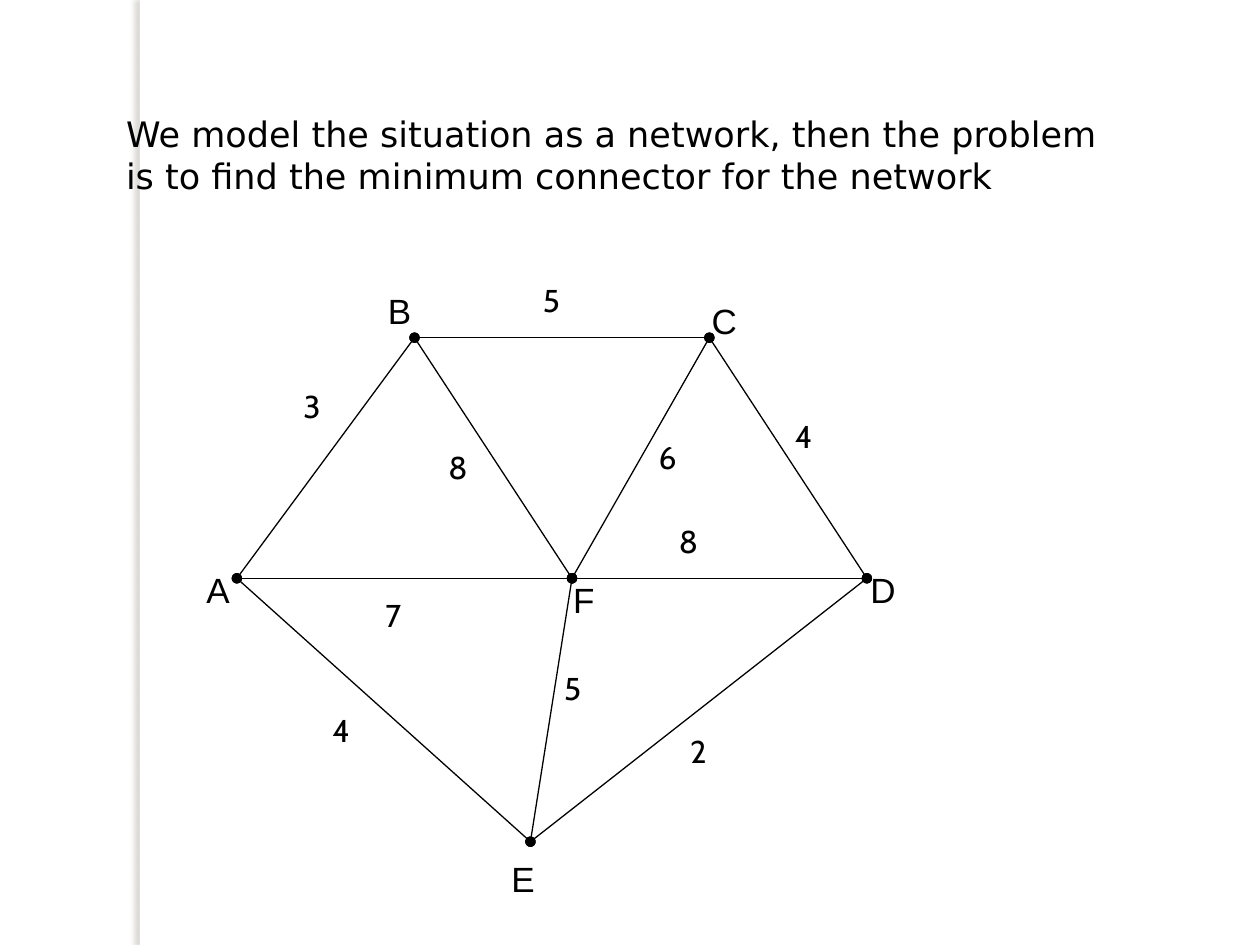
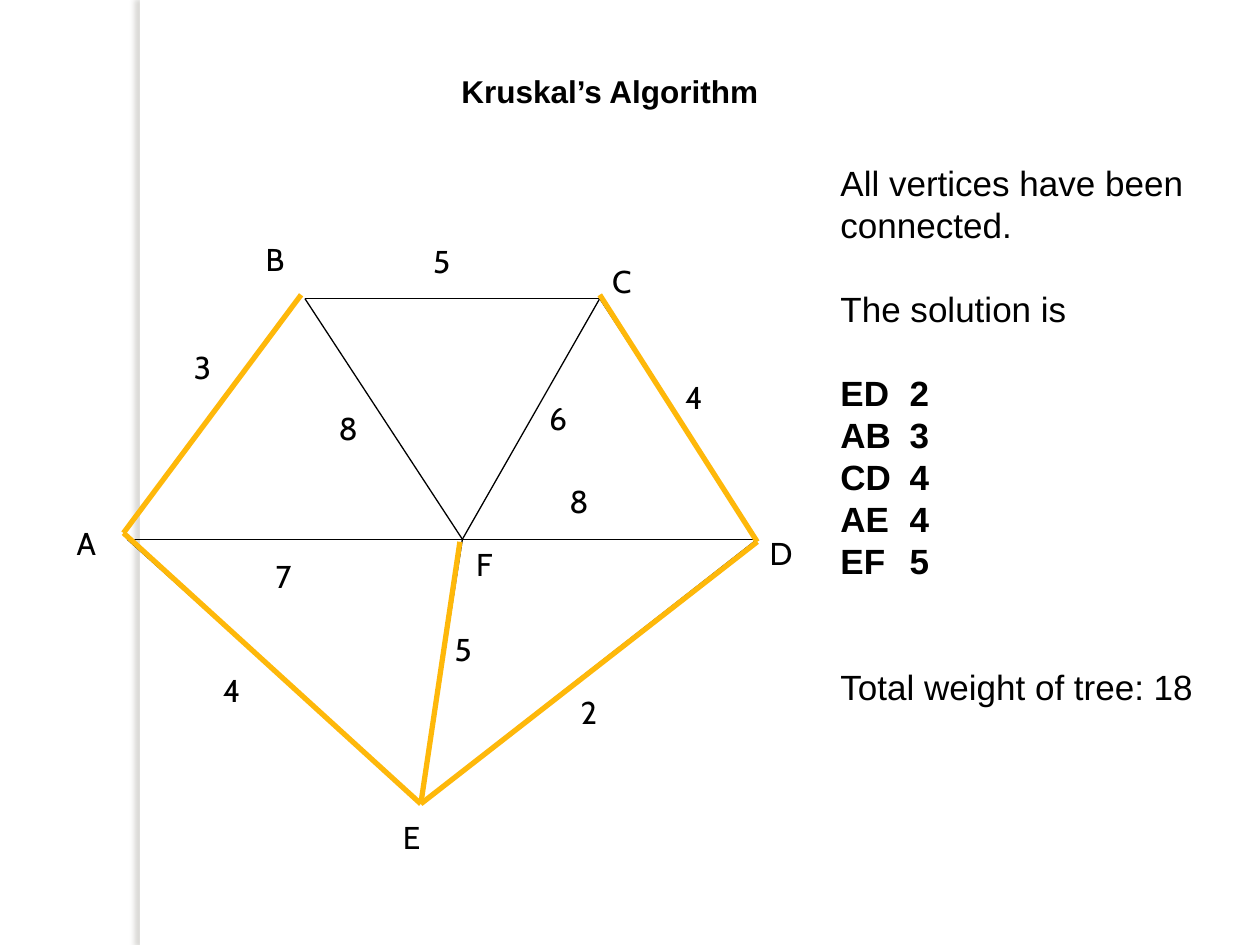
import dataclasses

import pptx
import pptx.dml.color
import pptx.enum.shapes
import pptx.enum.text
import pptx.oxml
import pptx.oxml.ns
import pptx.util

Pt = pptx.util.Pt
RGB = pptx.dml.color.RGBColor.from_string
ALIGN = pptx.enum.text.PP_ALIGN
qn = pptx.oxml.ns.qn


@dataclasses.dataclass(frozen=True)
class Theme:
    ink: str = "000000"
    paper: str = "FFFFFF"
    shade: str = "736F63"
    tree: str = "FEB80A"
    plain: str = "Arial"
    wide: str = "DejaVu Sans"
    round: str = "Cabin"
    large: int = 20
    small: int = 18
    thin: float = 0.75
    thick: float = 3


THEME = Theme()
COLS, ROWS = 10, 7.5
CELL = pptx.util.Inches(1)

# Vertices, and each edge's weight with the place of its label, in cells from A
NODES = {"A": (0, 0), "B": (1.41, -1.91), "C": (3.75, -1.91),
         "D": (5, 0), "E": (2.33, 2.09), "F": (2.66, 0)}
EDGES = {"AB": (3, 0.43, -1.57), "BC": (5, 2.33, -2.41),
         "CD": (4, 4.33, -1.33), "AF": (7, 1.08, 0.09),
         "FD": (8, 3.41, -0.5), "BF": (8, 1.58, -1.08),
         "FC": (6, 3.25, -1.16), "AE": (4, 0.66, 1),
         "EF": (5, 2.5, 0.67), "ED": (2, 3.5, 1.17)}
TREE = ["ED", "AB", "CD", "AE", "EF"]
# Small shift of the tree's line ends from the vertices
SHIFT = {"A": (-0.03, -0.05), "B": (-0.03, -0.03), "C": (0, -0.03),
         "D": (0, 0.02), "E": (0, 0.01), "F": (-0.02, 0.02)}


def grid(*cells):
    return [round(n * CELL) for n in cells]


def place(shape, left, top, width, height):
    shape.left, shape.top, shape.width, shape.height = grid(
        left, top, width, height)


def write(frame, text, font=THEME.plain, size=THEME.large, bold=False,
          align=ALIGN.LEFT, before=0, more=False):
    """Write one paragraph: the first one, or a further one if more is set."""
    frame.word_wrap = True
    frame.auto_size = pptx.enum.text.MSO_AUTO_SIZE.NONE
    frame.vertical_anchor = pptx.enum.text.MSO_ANCHOR.TOP
    para = frame.add_paragraph() if more else frame.paragraphs[0]
    para.alignment = align
    para.space_before = Pt(before)
    run = para.add_run()
    run.text = text
    run.font.name, run.font.size, run.font.bold = font, Pt(size), bold
    run.font.color.rgb = RGB(THEME.ink)
    return para


def head(slide, text, area, **form):
    place(slide.shapes.title, *area)
    write(slide.shapes.title.text_frame, text, **form)


def label(slide, text, left, top, **form):
    box = slide.shapes.add_textbox(*grid(left, top, 0.5, 0.5))
    write(box.text_frame, text, **form)


def line(slide, start, end, color=THEME.ink, width=THEME.thin, dots=False):
    link = slide.shapes.add_connector(
        pptx.enum.shapes.MSO_CONNECTOR.STRAIGHT, *grid(*start, *end))
    link.line.color.rgb = RGB(color)
    link.line.width = Pt(width)
    if dots:
        for tag in ("a:headEnd", "a:tailEnd"):
            tip = link.line._ln.makeelement(qn(tag), {"type": "oval"})
            link.line._ln.append(tip)
    props = link._element.spPr
    props.append(props.makeelement(qn("a:effectLst"), {}))


def band(deck, slide):
    """Draw the shaded edge and move it to the master, behind all slides."""
    bar = slide.shapes.add_shape(
        pptx.enum.shapes.MSO_SHAPE.RECTANGLE, *grid(1.11, 0, 0.08, ROWS))
    bar.fill.solid()
    bar.fill.fore_color.rgb = RGB(THEME.paper)
    bar.line.fill.background()
    bar._element.spPr.append(pptx.oxml.parse_xml(
        '<a:effectLst xmlns:a="http://schemas.openxmlformats.org/drawingml/'
        f'2006/main"><a:outerShdw blurRad="{Pt(3)}" dist="{Pt(3)}" '
        f'dir="10800000"><a:srgbClr val="{THEME.shade}">'
        '<a:alpha val="25000"/></a:srgbClr></a:outerShdw></a:effectLst>'))
    deck.slide_master.shapes._spTree.insert(2, bar._element)


def graph(slide, left, top, names, skip=(), dots=False, **form):
    """Draw the network with vertex A at left, top."""
    def at(spot):
        return left + spot[0], top + spot[1]

    for edge, (weight, *spot) in EDGES.items():
        if edge not in skip:
            start, end = (at(NODES[node]) for node in edge)
            line(slide, start, end, dots=dots)
        label(slide, str(weight), *at(spot), font=THEME.round,
              size=THEME.small)
    for name, spot in names.items():
        label(slide, name, *at(spot), **form)


def span(slide, left, top):
    """Mark the edges of the minimum spanning tree."""
    ends = {name: (left + x + SHIFT[name][0], top + y + SHIFT[name][1])
            for name, (x, y) in NODES.items()}
    for start, end in TREE:
        line(slide, ends[start], ends[end], THEME.tree, THEME.thick)


def answer(slide):
    body = slide.placeholders[1]
    place(body, 6.57, 1.23, 3.15, 4.77)
    gap = 24
    rows = [("All vertices have been", 0, False), ("connected.", 0, False),
            ("The solution is", gap, False)]
    rows += [(f"{edge}\t{EDGES[edge][0]}", 0 if i else gap, True)
             for i, edge in enumerate(TREE)]
    total = sum(EDGES[edge][0] for edge in TREE)
    rows.append((f"Total weight of tree: {total}", 2 * gap, False))
    for i, (text, before, bold) in enumerate(rows):
        para = write(body.text_frame, text, bold=bold, before=before,
                     more=i > 0)
        props = para._p.get_or_add_pPr()
        hang, = grid(0.55)
        props.set("marL", str(hang))
        props.set("indent", str(-hang))
        props.append(props.makeelement(qn("a:buNone"), {}))


def main():
    deck = pptx.Presentation()
    deck.slide_width, deck.slide_height = grid(COLS, ROWS)

    model = deck.slides.add_slide(deck.slide_layouts[5])
    band(deck, model)
    head(model, "We model the situation as a network, then the problem is to "
         "find the minimum connector for the network",
         (0.9, 0.84, 7.95, 0.77), font=THEME.wide)
    names = {"A": (-0.34, -0.13), "B": (1.1, -2.34), "C": (3.67, -2.26),
             "D": (4.93, -0.13), "E": (2.08, 2.17), "F": (2.57, -0.05)}
    graph(model, 1.88, 4.59, names, dots=True)

    solved = deck.slides.add_slide(deck.slide_layouts[1])
    head(solved, "Kruskal’s Algorithm", (0.9, 0.52, 7.88, 0.5),
         size=THEME.small, bold=True, align=ALIGN.CENTER)
    answer(solved)
    names = {"A": (-0.5, -0.17), "B": (1, -2.42), "C": (3.75, -2.25),
             "D": (5, -0.09), "E": (2.09, 2.16), "F": (2.67, 0)}
    graph(solved, 1.01, 4.28, names, skip=("AB", ), font=THEME.round,
          size=THEME.small)
    span(solved, 1.01, 4.28)

    deck.save("out.pptx")


if __name__ == "__main__":
    main()
